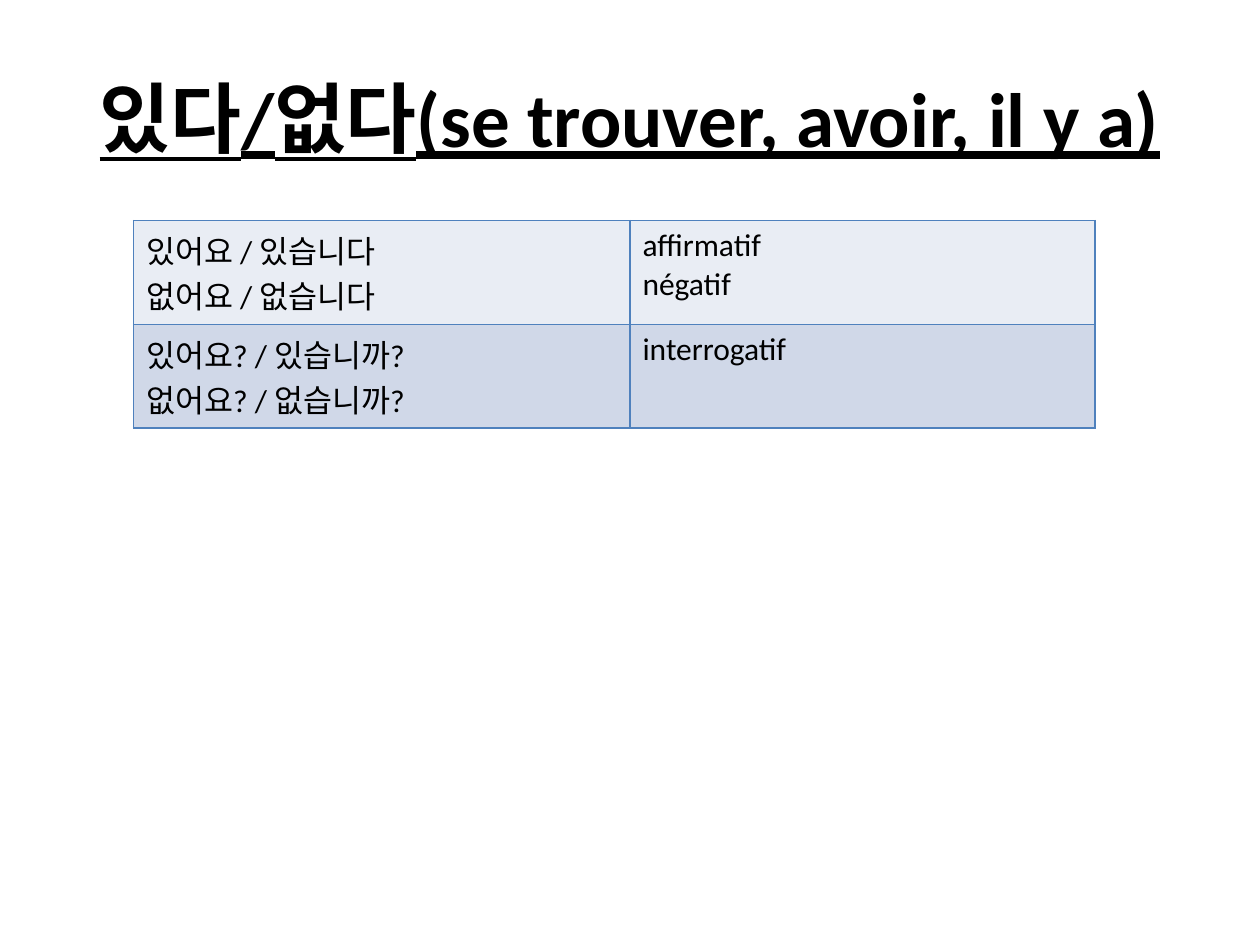
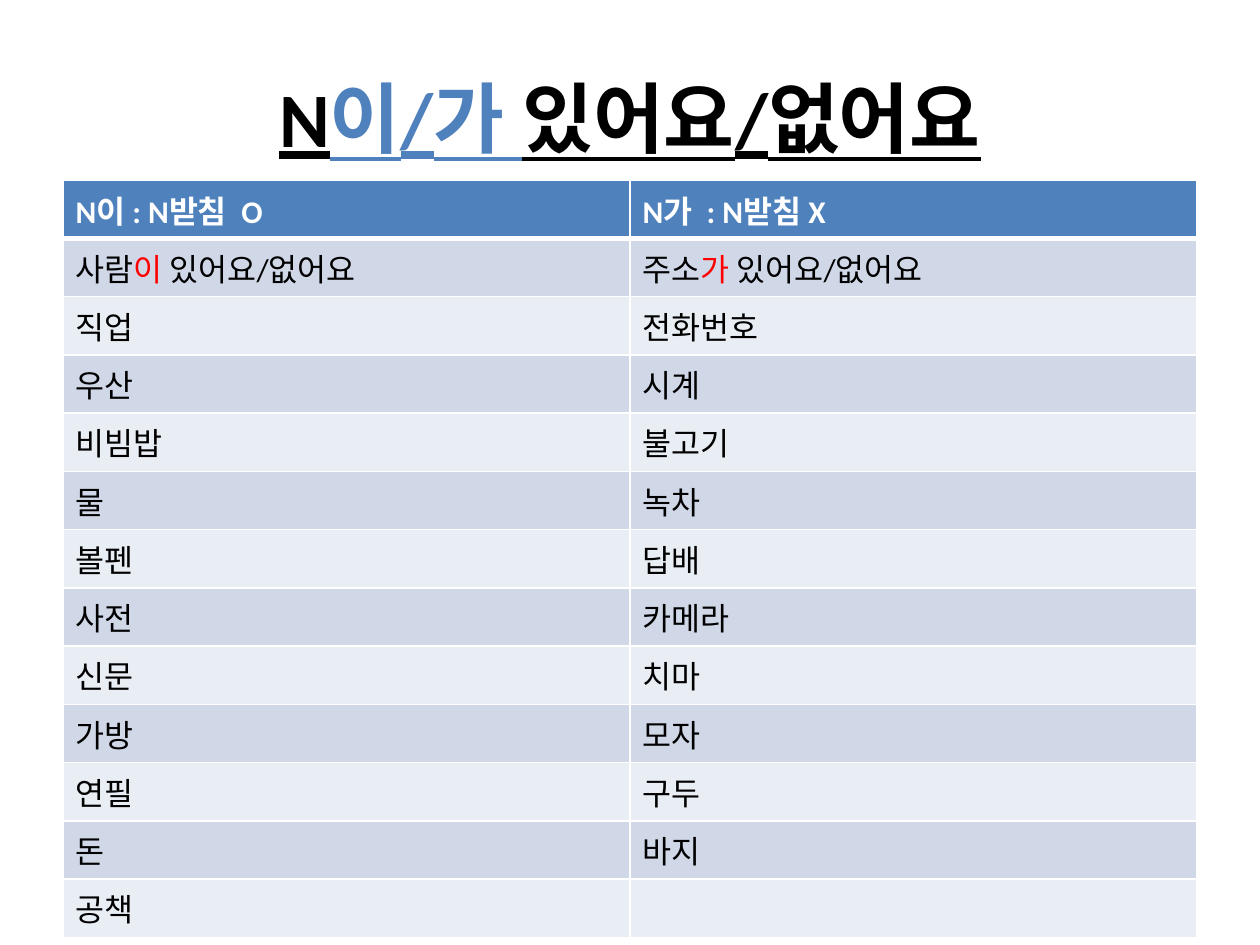
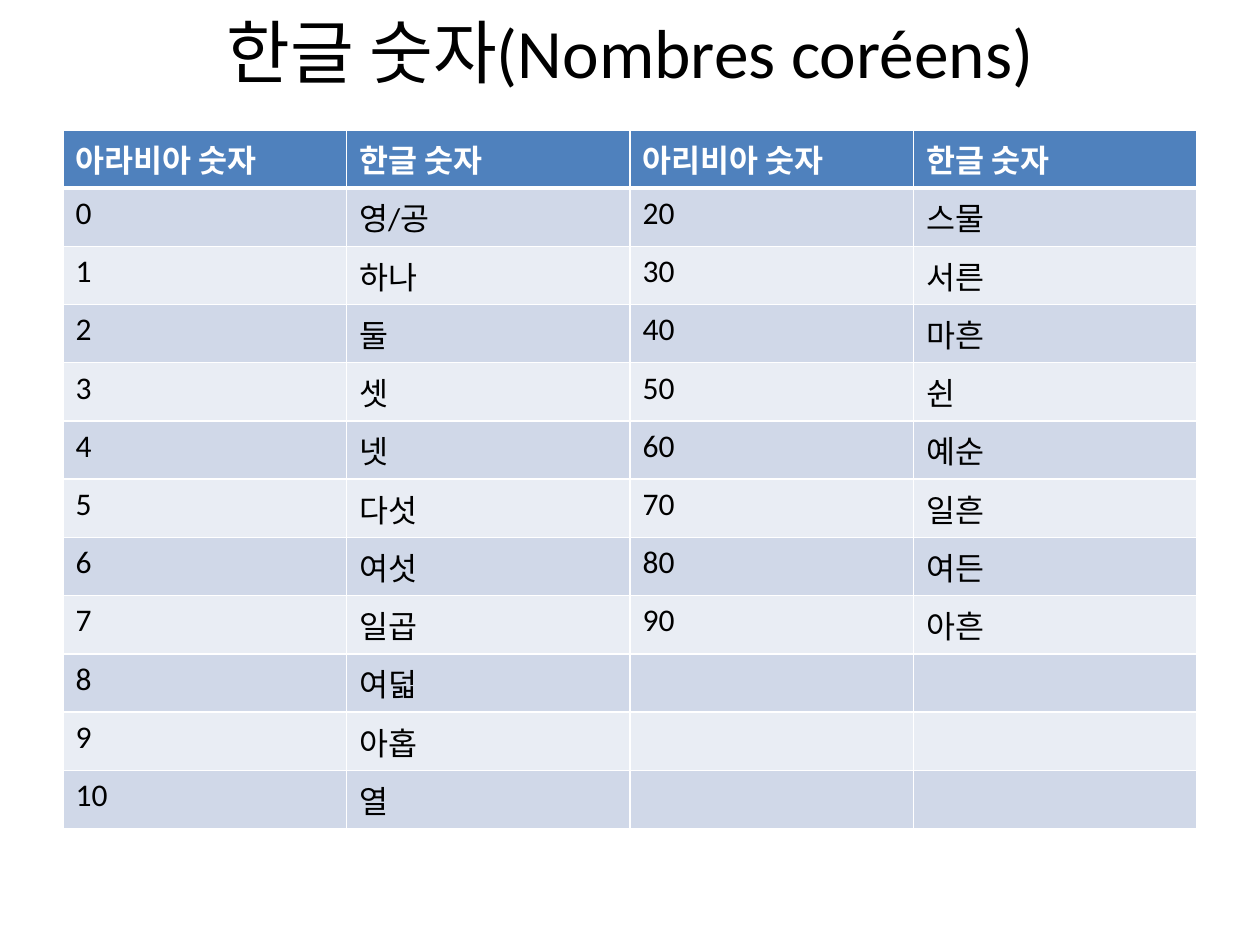
import dataclasses
import typing

import lxml.etree
import pptx
import pptx.dml.color
import pptx.enum.text
import pptx.oxml.ns
import pptx.presentation
import pptx.slide
import pptx.table
import pptx.text.text
import pptx.util


@dataclasses.dataclass(frozen=True)
class Theme:
    font: str = "Calibri"
    ink: str = "000000"
    paper: str = "FFFFFF"
    accent: str = "4F81BD"
    particle: str = "FF0000"
    dark_band: str = "D0D8E8"
    light_band: str = "E9EDF4"
    title_size: float = 44
    compact_title_size: float = 39.6
    cell_size: float = 18
    rule: float = 1
    header_rule: float = 3


class Span(typing.NamedTuple):
    text: str
    color: str


Content = str | tuple[Span, ...]


class Area(typing.NamedTuple):
    column: float
    row: float
    columns: float
    rows: float


@dataclasses.dataclass(frozen=True)
class Heading:
    content: Content
    area: Area = Area(1, 1.2, 18, 5)
    size: float = Theme.title_size
    emphasis: bool = True


@dataclasses.dataclass(frozen=True)
class Grid:
    rows: list[tuple[Content, ...]]
    column: float
    row: float
    widths: tuple[float, ...]
    row_height: float
    has_header: bool = True
    border: str = Theme.paper


class Lesson(typing.NamedTuple):
    heading: Heading
    grid: Grid


THEME = Theme()
SLIDE_WIDTH = pptx.util.Inches(10)
SLIDE_HEIGHT = pptx.util.Inches(7.5)
GRID_COLUMNS = 20
GRID_ROWS = 30
TITLE_ONLY = 5


def across(columns: float) -> int:
    return round(SLIDE_WIDTH * columns / GRID_COLUMNS)


def down(rows: float) -> int:
    return round(SLIDE_HEIGHT * rows / GRID_ROWS)


def write(frame: pptx.text.text.TextFrame, content: Content, *, size: float,
          color: str = THEME.ink, bold: bool = False, underline: bool = False,
          align: pptx.enum.text.PP_ALIGN = pptx.enum.text.PP_ALIGN.LEFT) -> None:
    if isinstance(content, str):
        lines = [(Span(line, color),) for line in content.split("\n")]
    else:
        lines = [content]
    for number, line in enumerate(lines):
        paragraph = frame.add_paragraph() if number else frame.paragraphs[0]
        paragraph.alignment = align
        paragraph.font.size = pptx.util.Pt(size)
        for span in line:
            if not span.text:
                continue
            run = paragraph.add_run()
            run.text = span.text
            run.font.name = THEME.font
            run.font.size = pptx.util.Pt(size)
            run.font.bold = bold
            run.font.underline = underline
            run.font.color.rgb = pptx.dml.color.RGBColor.from_string(span.color)


def draw_heading(slide: pptx.slide.Slide, heading: Heading) -> None:
    title = slide.shapes.title
    area = heading.area
    title.left, title.top = across(area.column), down(area.row)
    title.width, title.height = across(area.columns), down(area.rows)
    frame = title.text_frame
    frame.auto_size = pptx.enum.text.MSO_AUTO_SIZE.NONE
    frame.vertical_anchor = pptx.enum.text.MSO_ANCHOR.MIDDLE
    write(frame, heading.content, size=heading.size, bold=heading.emphasis,
          underline=heading.emphasis, align=pptx.enum.text.PP_ALIGN.CENTER)


def draw_borders(cell: pptx.table._Cell, color: str, top: float, bottom: float) -> None:
    properties = cell._tc.get_or_add_tcPr()
    edges = {"lnL": THEME.rule, "lnR": THEME.rule, "lnT": top, "lnB": bottom}
    for edge, width in edges.items():
        line = lxml.etree.SubElement(properties, pptx.oxml.ns.qn(f"a:{edge}"),
                                     w=str(pptx.util.Pt(width)))
        fill = lxml.etree.SubElement(line, pptx.oxml.ns.qn("a:solidFill"))
        lxml.etree.SubElement(fill, pptx.oxml.ns.qn("a:srgbClr"), val=color)


def draw_grid(slide: pptx.slide.Slide, grid: Grid) -> None:
    table = slide.shapes.add_table(
        len(grid.rows), len(grid.widths), across(grid.column), down(grid.row),
        across(sum(grid.widths)), down(grid.row_height * len(grid.rows))).table
    table.first_row = grid.has_header
    table.horz_banding = False
    for column, width in zip(table.columns, grid.widths):
        column.width = across(width)
    bands = (THEME.light_band, THEME.dark_band)
    for row_number, contents in enumerate(grid.rows):
        table.rows[row_number].height = down(grid.row_height)
        is_header = grid.has_header and row_number == 0
        below_header = grid.has_header and row_number == 1
        band = THEME.accent if is_header else bands[row_number % 2]
        for column_number, content in enumerate(contents):
            cell = table.cell(row_number, column_number)
            draw_borders(cell, grid.border,
                         top=THEME.header_rule if below_header else THEME.rule,
                         bottom=THEME.header_rule if is_header else THEME.rule)
            cell.fill.solid()
            cell.fill.fore_color.rgb = pptx.dml.color.RGBColor.from_string(band)
            write(cell.text_frame, content, size=THEME.cell_size, bold=is_header,
                  color=THEME.paper if is_header else THEME.ink)


def example(noun: str, particle: str) -> tuple[Span, ...]:
    return (Span(noun, THEME.ink), Span(f"{particle} ", THEME.particle),
            Span("있어요/없어요", THEME.ink))


EXISTENCE = Lesson(
    Heading("있다/없다(se trouver, avoir, il y a)"),
    Grid([("있어요 / 있습니다\n없어요 / 없습니다", "affirmatif\nnégatif"),
          ("있어요? / 있습니까?\n없어요? / 없습니까?", "interrogatif")],
         column=2.12, row=7, widths=(7.88, 7.38), row_height=1.64,
         has_header=False, border=THEME.accent))

PARTICLES = Lesson(
    Heading((Span("N", THEME.ink), Span("이/가 ", THEME.accent),
             Span("있어요/없어요", THEME.ink))),
    Grid([("N이 : N받침  O", "N가  : N받침 X"),
          (example("사람", "이"), example("주소", "가")),
          ("직업", "전화번호"),
          ("우산", "시계"),
          ("비빔밥", "불고기"),
          ("물", "녹차"),
          ("볼펜", "답배"),
          ("사전", "카메라"),
          ("신문", "치마"),
          ("가방", "모자"),
          ("연필", "구두"),
          ("돈", "바지"),
          ("공책", "")],
         column=1, row=5.72, widths=(9, 9), row_height=1.64))

NUMBERS = Lesson(
    Heading("한글 숫자(Nombres coréens)", area=Area(1, 0, 18, 3.24),
            size=THEME.compact_title_size, emphasis=False),
    Grid([("아라비아 숫자", "한글 숫자", "아리비아 숫자", "한글 숫자"),
          ("0", "영/공", "20", "스물"),
          ("1", "하나", "30", "서른"),
          ("2", "둘", "40", "마흔"),
          ("3", "셋", "50", "쉰"),
          ("4", "넷", "60", "예순"),
          ("5", "다섯", "70", "일흔"),
          ("6", "여섯", "80", "여든"),
          ("7", "일곱", "90", "아흔"),
          ("8", "여덟", "", ""),
          ("9", "아홉", "", ""),
          ("10", "열", "", "")],
         column=1, row=4.12, widths=(4.5,) * 4, row_height=1.52))


def add_lesson(deck: pptx.presentation.Presentation, lesson: Lesson) -> None:
    slide = deck.slides.add_slide(deck.slide_layouts[TITLE_ONLY])
    draw_heading(slide, lesson.heading)
    draw_grid(slide, lesson.grid)


def main() -> None:
    deck = pptx.Presentation()
    deck.slide_width, deck.slide_height = SLIDE_WIDTH, SLIDE_HEIGHT
    for lesson in (EXISTENCE, PARTICLES, NUMBERS):
        add_lesson(deck, lesson)
    deck.save("out.pptx")


if __name__ == "__main__":
    main()
